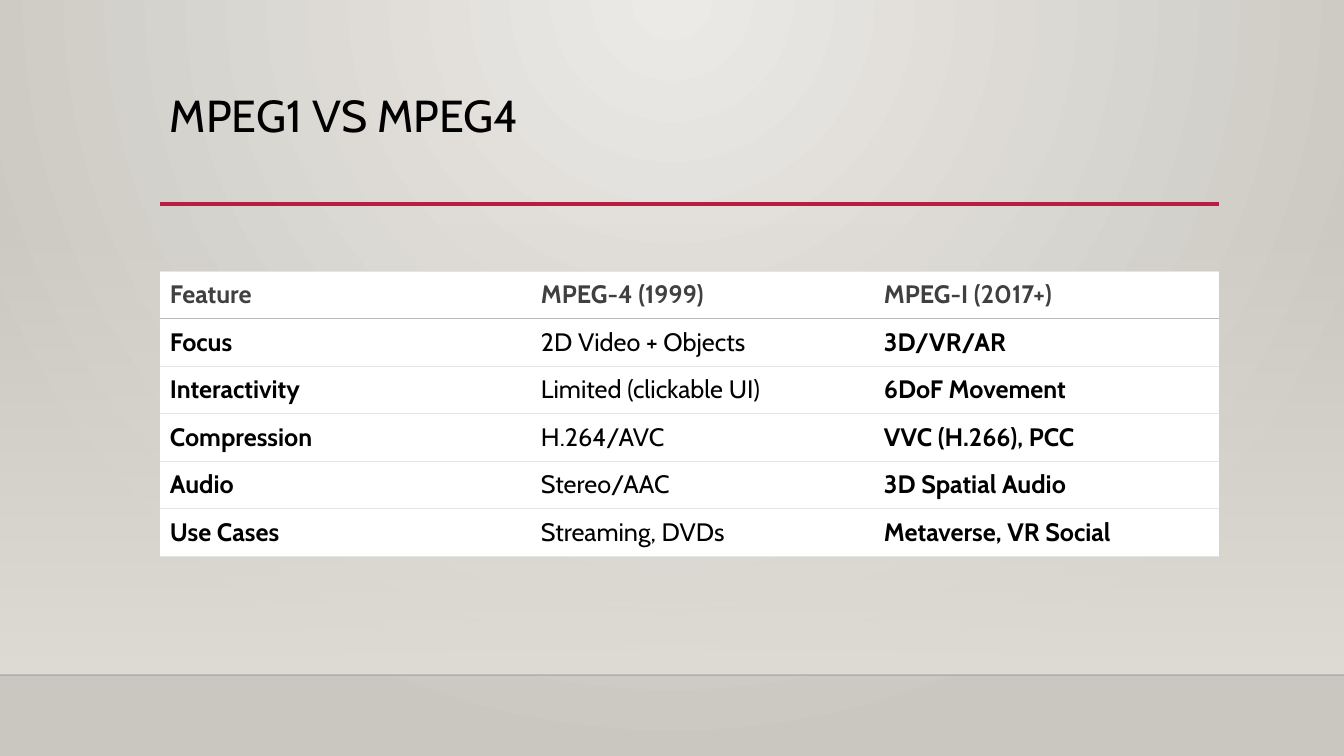
from dataclasses import dataclass

from lxml.etree import SubElement
from pptx import Presentation
from pptx.dml.color import RGBColor as RGB
from pptx.enum.shapes import MSO_CONNECTOR as Connector, MSO_SHAPE as Preset
from pptx.enum.text import MSO_ANCHOR as Anchor
from pptx.oxml import parse_xml
from pptx.oxml.ns import nsdecls, qn
from pptx.slide import Slide
from pptx.table import _Cell as Cell
from pptx.text.text import TextFrame
from pptx.util import Emu, Pt

EMU_PER_PX = 914400 / 100.8


@dataclass(frozen=True)
class Theme:
    font: str = "Cabin"
    title_size: float = 32
    table_size: float = 18
    ink: str = "000000"
    header_ink: str = "404040"
    paper: str = "FFFFFF"
    accent: str = "B71E42"
    glow: str = "ECEAE7"
    wall: str = "CAC7C1"
    haze: str = "DFDBD5"
    floor_edge: str = "000001"
    header_rule: str = "BBBBBB"
    row_rule: str = "E5E5E5"
    cell_rule_width: float = 0.48


@dataclass(frozen=True)
class Rule:
    left: int
    right: int
    y: int
    color: str
    width: float
    opacity: int = 100


@dataclass(frozen=True)
class Comparison:
    feature: str
    mpeg4: str
    mpeg_i: str


THEME = Theme()
RULES = (
    Rule(0, 1344, 675, THEME.floor_edge, 1, opacity=20),
    Rule(160, 1219, 204, THEME.accent, 2.5),
)
COMPARISONS = (
    Comparison("Feature", "MPEG-4 (1999)", "MPEG-I (2017+)"),
    Comparison("Focus", "2D Video + Objects", "3D/VR/AR"),
    Comparison("Interactivity", "Limited (clickable UI)", "6DoF Movement"),
    Comparison("Compression", "H.264/AVC", "VVC (H.266), PCC"),
    Comparison("Audio", "Stereo/AAC", "3D Spatial Audio"),
    Comparison("Use Cases", "Streaming, DVDs", "Metaverse, VR Social"),
)
COLUMN_WIDTHS = (373, 343, 343)
TABLE_HEIGHT = 285


def px(length: int) -> Emu:
    return Emu(round(length * EMU_PER_PX))


def set_opacity(color_element, percent: int) -> None:
    SubElement(color_element, qn("a:alpha")).set("val", str(percent * 1000))


def write(frame: TextFrame, text: str, *, size: float, color: str,
          bold: bool = False, line_spacing: float = 1.0) -> None:
    paragraph = frame.paragraphs[0]
    paragraph.line_spacing = line_spacing
    run = paragraph.add_run()
    run.text = text
    run.font.name = THEME.font
    run.font.size = Pt(size)
    run.font.bold = bold
    run.font.color.rgb = RGB.from_string(color)


def paint_background(slide: Slide) -> None:
    fill = slide.background.fill
    fill.gradient()
    for stop, color in zip(fill.gradient_stops, (THEME.glow, THEME.wall)):
        stop.color.rgb = RGB.from_string(color)
    linear = slide.element.xpath("./p:cSld/p:bg//a:lin")[0]
    linear.getparent().replace(linear, parse_xml(
        f'<a:path {nsdecls("a")} path="circle">'
        '<a:fillToRect l="43000" t="0" r="43000" b="100000"/></a:path>'))


def draw_haze(slide: Slide) -> None:
    haze = slide.shapes.add_shape(
        Preset.RECTANGLE, px(0), px(223), px(1344), px(452))
    haze.shadow.inherit = False
    haze.line.fill.background()
    haze.fill.gradient()
    haze.fill.gradient_angle = 270
    for stop in haze.fill.gradient_stops:
        stop.color.rgb = RGB.from_string(THEME.haze)
    set_opacity(haze.element.xpath(".//a:gs/a:srgbClr")[0], 0)


def draw_rule(slide: Slide, rule: Rule) -> None:
    line = slide.shapes.add_connector(
        Connector.STRAIGHT, px(rule.left), px(rule.y), px(rule.right), px(rule.y))
    line.line.color.rgb = RGB.from_string(rule.color)
    line.line.width = Pt(rule.width)
    if rule.opacity < 100:
        set_opacity(line.element.xpath(".//a:ln//a:srgbClr")[0], rule.opacity)
    SubElement(line.element.spPr, qn("a:effectLst"))


def draw_title(slide: Slide, text: str) -> None:
    title = slide.shapes.add_textbox(px(160), px(89), px(1059), px(116)).text_frame
    title.word_wrap = True
    title.vertical_anchor = Anchor.TOP
    write(title, text, size=THEME.title_size, color=THEME.ink, line_spacing=0.9)


def set_borders(cell: Cell, top: str, bottom: str) -> None:
    properties = cell._tc.get_or_add_tcPr()
    sides = {"lnL": None, "lnR": None, "lnT": top, "lnB": bottom}
    for position, (side, color) in enumerate(sides.items()):
        paint = (f'<a:solidFill><a:srgbClr val="{color}"/></a:solidFill>'
                 if color else "<a:noFill/>")
        properties.insert(position, parse_xml(
            f'<a:{side} {nsdecls("a")} w="{Pt(THEME.cell_rule_width)}">'
            f"{paint}</a:{side}>"))


def draw_comparisons(slide: Slide) -> None:
    table = slide.shapes.add_table(
        len(COMPARISONS), len(COLUMN_WIDTHS), px(160), px(271),
        px(sum(COLUMN_WIDTHS)), px(TABLE_HEIGHT)).table
    table.first_row = table.horz_banding = False
    for column, width in zip(table.columns, COLUMN_WIDTHS):
        column.width = px(width)
    for r, comparison in enumerate(COMPARISONS):
        header = r == 0
        texts = (comparison.feature, comparison.mpeg4, comparison.mpeg_i)
        for c, text in enumerate(texts):
            cell = table.cell(r, c)
            cell.fill.solid()
            cell.fill.fore_color.rgb = RGB.from_string(THEME.paper)
            cell.vertical_anchor = Anchor.MIDDLE
            cell.margin_left = px(10 if c == 0 else 8)
            cell.margin_right = cell.margin_top = cell.margin_bottom = px(8)
            set_borders(cell,
                        top=THEME.header_rule if r == 1 else THEME.row_rule,
                        bottom=THEME.header_rule if header else THEME.row_rule)
            write(cell.text_frame, text, size=THEME.table_size,
                  color=THEME.header_ink if header else THEME.ink,
                  bold=header or c != 1)


def main() -> None:
    deck = Presentation()
    deck.slide_width, deck.slide_height = px(1344), px(756)
    slide = deck.slides.add_slide(deck.slide_layouts[6])
    paint_background(slide)
    draw_haze(slide)
    for rule in RULES:
        draw_rule(slide, rule)
    draw_title(slide, "MPEG1 VS MPEG4")
    draw_comparisons(slide)
    deck.save("out.pptx")


if __name__ == "__main__":
    main()
